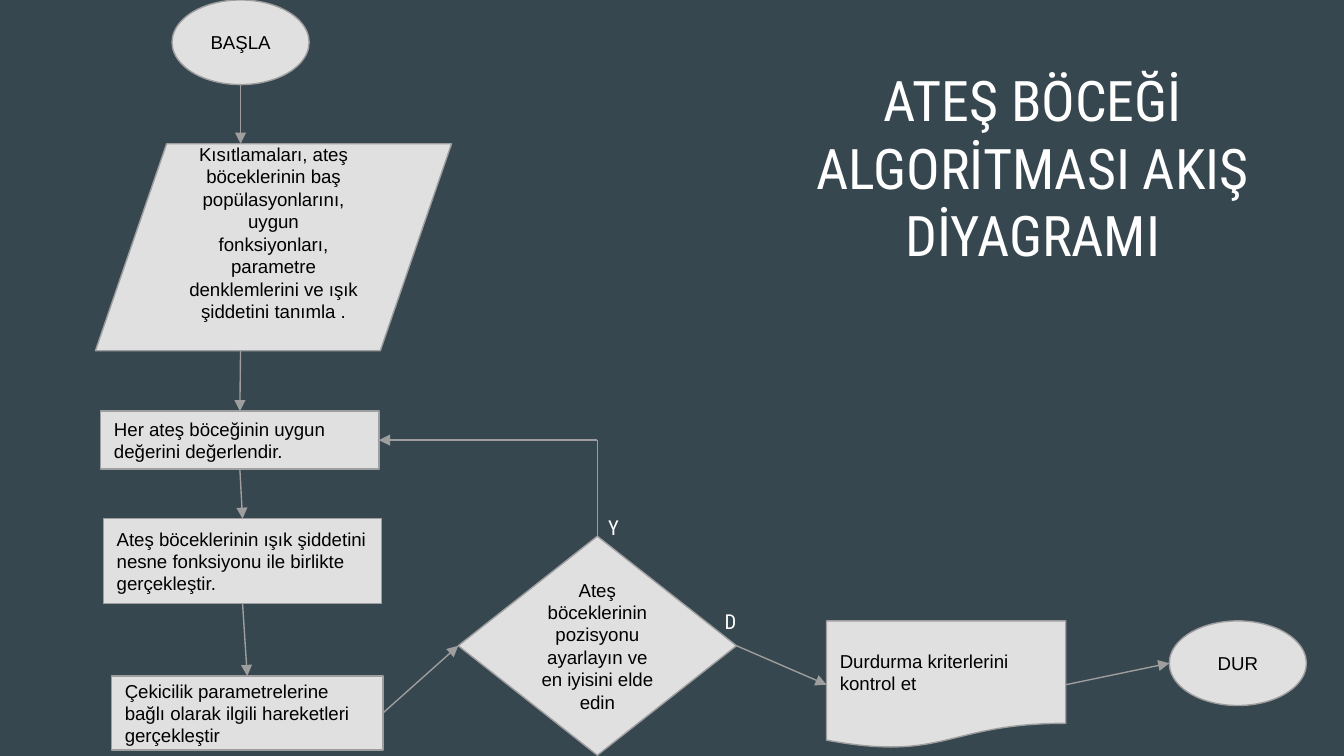
from collections import namedtuple
from itertools import pairwise

from lxml.etree import SubElement
from pptx import Presentation
from pptx.dml.color import RGBColor
from pptx.enum.shapes import MSO_CONNECTOR, MSO_SHAPE
from pptx.enum.text import MSO_ANCHOR, PP_ALIGN
from pptx.oxml.ns import qn
from pptx.util import Inches, Pt

COLORS = {"background": "37474F", "fill": "E0E0E0", "line": "9E9E9E",
          "text": "000000", "heading": "FFFFFF"}
CELL = Inches(0.1)  # the slide is a grid of 100 columns by 56.25 rows
TOP, LEFT, BOTTOM, RIGHT = range(4)  # connection sites
Box = namedtuple("Box", "left top width height")


def color(name):
    return RGBColor.from_string(COLORS[name])


def cells(*counts):
    return [round(count * CELL) for count in counts]


def place(region, left, top, width, height):
    """Turn a box local to a region into slide lengths."""
    return cells(region.left + left, region.top + top, width, height)


def write(shape, lines, size, font, ink, align, anchor):
    frame = shape.text_frame
    frame.word_wrap = True
    frame.vertical_anchor = anchor
    frame.margin_left = frame.margin_right = CELL
    frame.margin_top = frame.margin_bottom = CELL
    for index, line in enumerate(lines):
        para = frame.add_paragraph() if index else frame.paragraphs[0]
        para.text = line
        para.alignment = align
        para.font.size = Pt(size)
        para.font.name = font
        para.font.color.rgb = color(ink)


def add_heading(page, region, box, text, size):
    label = page.shapes.add_textbox(*place(region, *box))
    write(label, [text], size, "Roboto Condensed", "heading",
          PP_ALIGN.CENTER, MSO_ANCHOR.TOP)


def add_node(page, region, kind, box, *lines, align=PP_ALIGN.CENTER):
    node = page.shapes.add_shape(kind, *place(region, *box))
    node.shadow.inherit = False
    node.fill.solid()
    node.fill.fore_color.rgb = color("fill")
    node.line.color.rgb = color("line")
    node.line.width = Pt(0.75)
    write(node, lines, 10, "Arial", "text", align, MSO_ANCHOR.MIDDLE)
    return node


def add_line(page, region, start, end, arrow=True):
    """Draw a line; each end is a local point or a (node, site) pair."""
    points = [end_at if isinstance(end_at[0], (int, float)) else (0, 0)
              for end_at in (start, end)]
    ends = [length for x, y in points
            for length in cells(region.left + x, region.top + y)]
    line = page.shapes.add_connector(MSO_CONNECTOR.STRAIGHT, *ends)
    for end_at, connect in ((start, line.begin_connect), (end, line.end_connect)):
        if not isinstance(end_at[0], (int, float)):
            connect(*end_at)
    line.line.color.rgb = color("line")
    line.line.width = Pt(0.75)
    if arrow:
        SubElement(line.line._get_or_add_ln(), qn("a:tailEnd"), type="triangle")
    SubElement(line._element.spPr, qn("a:effectLst"))


def draw_title(page, region):
    add_heading(page, region, (0, 0, region.width, region.height),
                "ATEŞ BÖCEĞİ ALGORİTMASI AKIŞ DİYAGRAMI", 30)


def draw_steps(page, region):
    # Start and input
    add_node(page, region, MSO_SHAPE.OVAL, (5.7, 0, 10.2, 6.3), "BAŞLA")
    definitions = add_node(
        page, region, MSO_SHAPE.FLOWCHART_DATA, (0, 10.7, region.width, 15.4),
        "Kısıtlamaları, ateş", "böceklerinin baş", "popülasyonlarını, uygun",
        "fonksiyonları, parametre", "denklemlerini ve ışık", "şiddetini tanımla .")
    definitions.text_frame.margin_bottom = round(3.2 * CELL)

    # Process steps
    boxes = [((0.4, 30.6, 20.7, 4.3),
              "Her ateş böceğinin uygun değerini değerlendir."),
             ((0.6, 38.6, 20.7, 6.3),
              "Ateş böceklerinin ışık şiddetini nesne fonksiyonu ile birlikte gerçekleştir."),
             ((1.2, 50.3, 20.2, 5.5),
              "Çekicilik parametrelerine bağlı olarak ilgili hareketleri gerçekleştir")]
    steps = [add_node(page, region, MSO_SHAPE.RECTANGLE, box, text,
                      align=PP_ALIGN.LEFT) for box, text in boxes]

    # Downward arrows
    add_line(page, region, (10.8, 6.3), (10.8, 10.7))
    add_line(page, region, (10.8, 26.1), (steps[0], TOP))
    for upper, lower in pairwise(steps):
        add_line(page, region, (upper, BOTTOM), (lower, TOP))
    return steps[0], steps[-1]


def draw_decision(page, region, evaluate, move):
    decision = add_node(
        page, region, MSO_SHAPE.FLOWCHART_DECISION, (0, 8.1, region.width, 16.3),
        "Ateş böceklerinin pozisyonu ayarlayın ve en iyisini elde edin")
    add_line(page, region, (move, RIGHT), (decision, LEFT))

    # Loop back to the evaluation, level with its middle
    corner = (region.width / 2, 0.95)
    add_line(page, region, (decision, TOP), corner, arrow=False)
    add_line(page, region, corner, (evaluate, RIGHT))

    # Branch labels
    for text, left, top in (("Y", -7.1, 5.6), ("D", 1.6, 12.6)):
        add_heading(page, region, (left, top, 37.3, 6.3), text, 11)
    return decision


def draw_stop(page, region, decision):
    check = add_node(page, region, MSO_SHAPE.FLOWCHART_DOCUMENT,
                     (0, 0, 17.8, region.height),
                     "Durdurma kriterlerini kontrol et", align=PP_ALIGN.LEFT)
    add_node(page, region, MSO_SHAPE.OVAL, (25.5, 0, 10.2, 6.3), "DUR")
    add_line(page, region, (decision, RIGHT), (check, LEFT))
    add_line(page, region, (check, RIGHT), (25.5, 3.15))


def main():
    deck = Presentation()
    deck.slide_width, deck.slide_height = cells(100, 56.25)
    page = deck.slides.add_slide(deck.slide_layouts[6])
    page.background.fill.solid()
    page.background.fill.fore_color.rgb = color("background")

    draw_title(page, Box(58.2, 3.9, 37.3, 6.3))
    evaluate, move = draw_steps(page, Box(7.1, 0, 26.5, 56.25))
    decision = draw_decision(page, Box(34.1, 31.8, 20.7, 24.4), evaluate, move)
    draw_stop(page, Box(61.5, 46.2, 35.7, 9.5), decision)
    deck.save("out.pptx")


if __name__ == "__main__":
    main()
